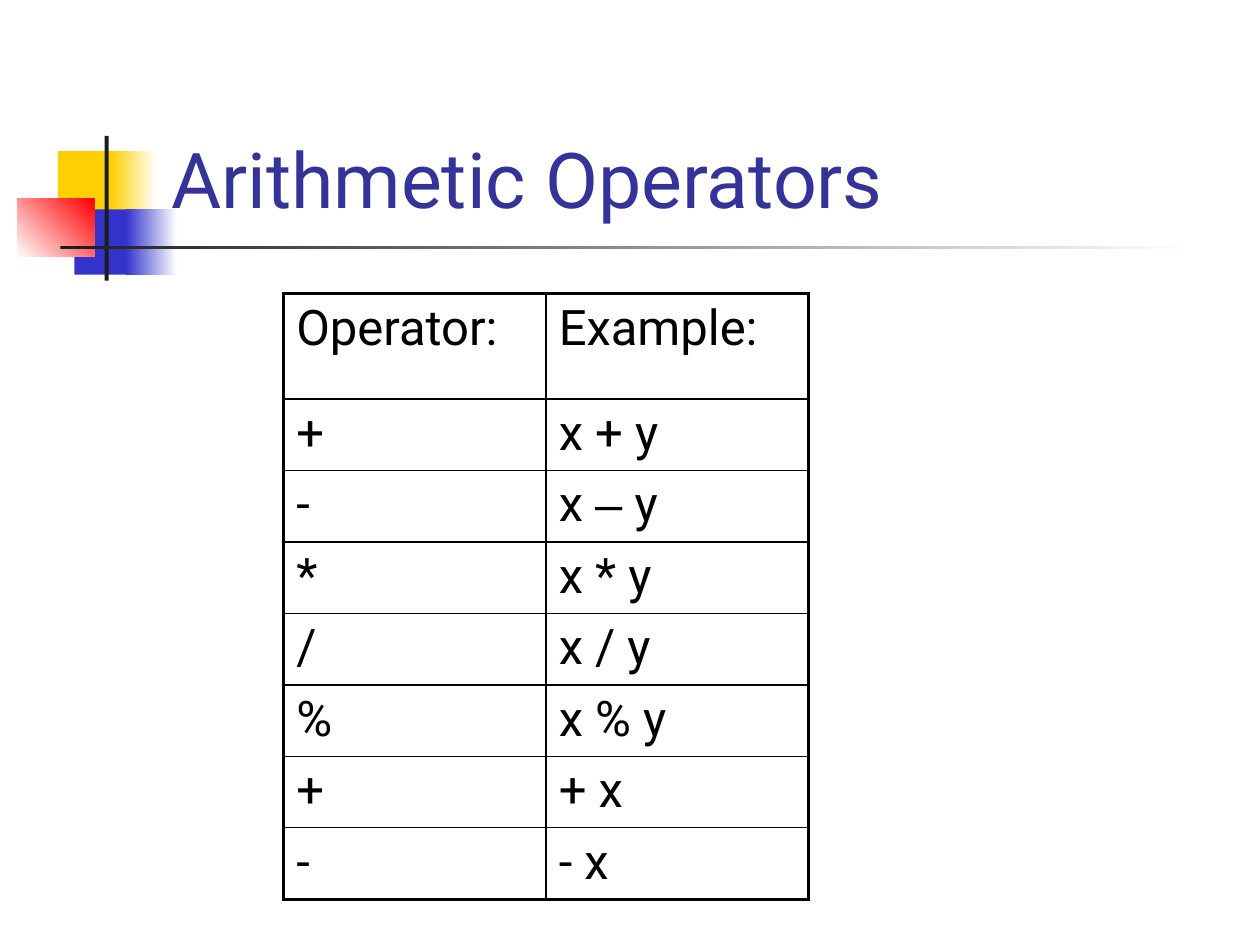
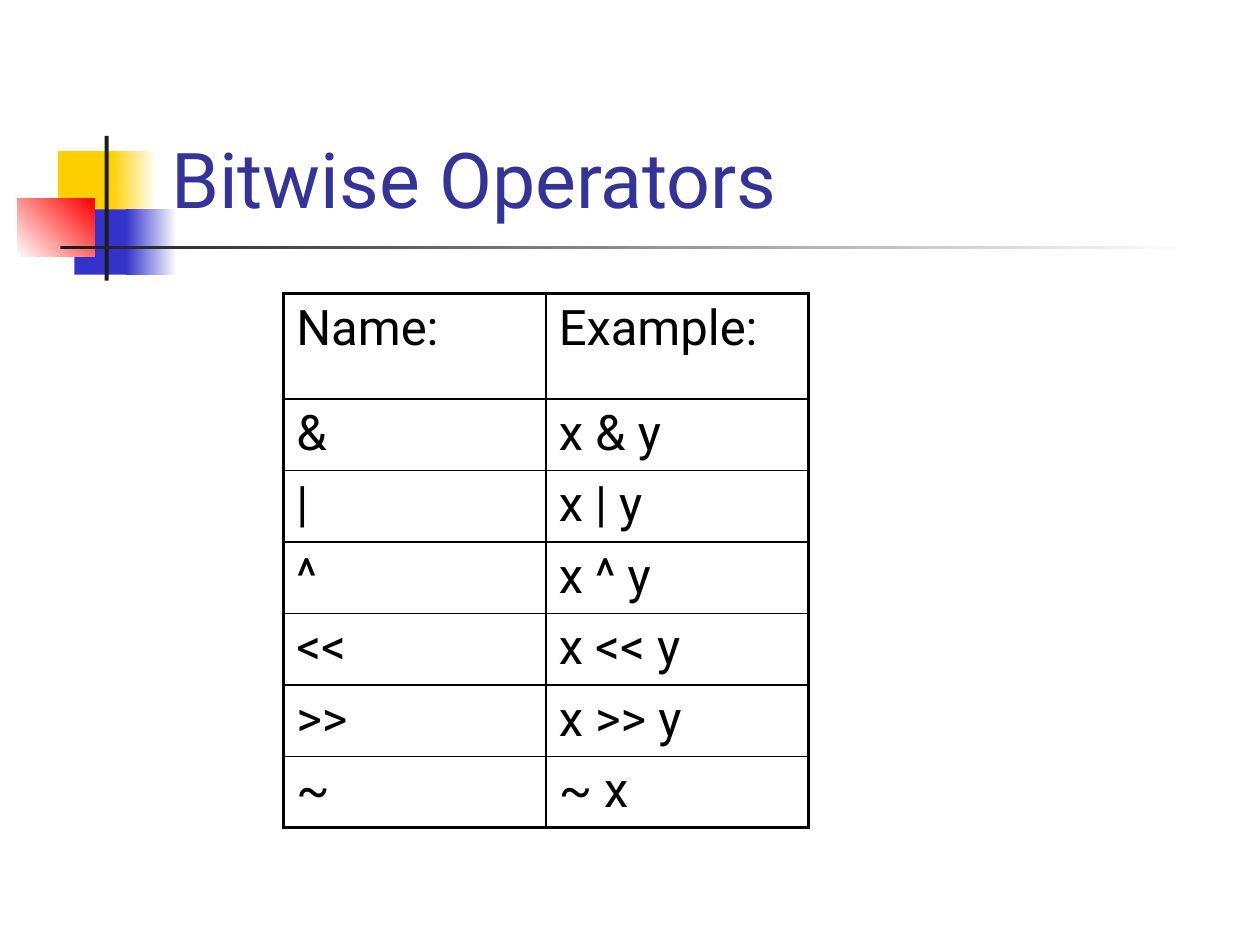
from lxml import etree
from pptx import Presentation
from pptx import util as u
from pptx.dml.color import RGBColor
from pptx.enum import shapes, text
from pptx.oxml.ns import qn

YELLOW, BLUE, RED = "FFCF01", "3333CC", "FF0000"
DARK, WHITE, BLACK, TITLE = "1C1C1C", "FFFFFF", "000000", "333399"
FONT = "Roboto"


def rgb(value):
    return RGBColor.from_string(value)


def add_run(p, content, size, color, font=FONT):
    r = p.add_run()
    r.text = content
    r.font.size = u.Pt(size)
    r.font.name = font
    r.font.color.rgb = rgb(color)


# Motif beside the title: left, top, width, height (cm), colours, angle
motif = [
    (1.17, 3.05, 1.22, 1.32, [YELLOW], 0),
    (2.24, 3.05, 0.91, 1.32, [YELLOW, WHITE], 0),
    (1.5, 4.22, 1.17, 1.32, [BLUE], 0),
    (2.54, 4.22, 1.02, 1.32, [BLUE, WHITE], 0),
    (0.35, 4.01, 1.55, 1.17, [WHITE, RED], 45),
    (2.11, 2.74, 0.08, 2.92, [DARK], 0),
    (1.22, 4.95, 22.86, 0.08, [DARK, WHITE], 0),
]

# Title, then table rows of operator and example
content = [
    ("Arithmetic Operators", [
        ("Operator:", "Example:"),
        ("+", "x + y"),
        ("-", "x – y"),
        ("*", "x * y"),
        ("/", "x / y"),
        ("%", "x % y"),
        ("+", "+ x"),
        ("-", "- x"),
    ]),
    ("Bitwise Operators", [
        ("Name:", "Example:"),
        ("&", "x & y"),
        ("|", "x | y"),
        ("^", "x ^ y"),
        ("<<", "x << y"),
        (">>", "x >> y"),
        ("~", "~ x"),
    ]),
]
HEAD_H, ROW_H, COL_W = 2.12, 1.41, 5.29
THICK, THIN = 2.25, 1

prs = Presentation()
prs.slide_width, prs.slide_height = u.Cm(25.4), u.Cm(19.05)

for title, rows in content:
    s = prs.slides.add_slide(prs.slide_layouts[6])

    # Motif
    for left, top, width, height, colors, angle in motif:
        sp = s.shapes.add_shape(shapes.MSO_SHAPE.RECTANGLE, u.Cm(left),
                                u.Cm(top), u.Cm(width), u.Cm(height))
        sp.shadow.inherit = False
        sp.line.fill.background()
        if len(colors) == 1:
            sp.fill.solid()
            sp.fill.fore_color.rgb = rgb(colors[0])
        else:
            sp.fill.gradient()
            sp.fill.gradient_angle = angle
            for stop, color in zip(sp.fill.gradient_stops, colors):
                stop.color.rgb = rgb(color)

    # Title
    tf = s.shapes.add_textbox(u.Cm(3.2), u.Cm(0.58),
                              u.Cm(21.64), u.Cm(4.06)).text_frame
    tf.word_wrap = True
    tf.vertical_anchor = text.MSO_ANCHOR.BOTTOM
    add_run(tf.paragraphs[0], title, 44, TITLE)

    # Table
    last = len(rows) - 1
    tbl = s.shapes.add_table(len(rows), 2, u.Cm(5.72), u.Cm(5.92),
                             u.Cm(2 * COL_W),
                             u.Cm(HEAD_H + last * ROW_H)).table
    tbl.first_row = tbl.horz_banding = False
    for col in tbl.columns:
        col.width = u.Cm(COL_W)
    for i, row in enumerate(rows):
        tbl.rows[i].height = u.Cm(ROW_H if i else HEAD_H)
        for j, value in enumerate(row):
            cell = tbl.cell(i, j)
            p = cell.text_frame.paragraphs[0]
            # The dash is set in Arial, the rest in the main font
            for k, part in enumerate(value.split("–")):
                if k:
                    add_run(p, "–", 28, BLACK, "Arial")
                add_run(p, part, 28, BLACK)

            # Thick border on the outside, thin inside
            tcPr = cell._tc.get_or_add_tcPr()
            outer = {"lnL": j == 0, "lnR": j == 1,
                     "lnT": i == 0, "lnB": i == last}
            for side, is_outer in outer.items():
                ln = etree.SubElement(tcPr, qn("a:" + side))
                ln.set("w", str(u.Pt(THICK if is_outer else THIN)))
                fill = etree.SubElement(ln, qn("a:solidFill"))
                etree.SubElement(fill, qn("a:srgbClr")).set("val", BLACK)
            cell.fill.background()

prs.save("out.pptx")
